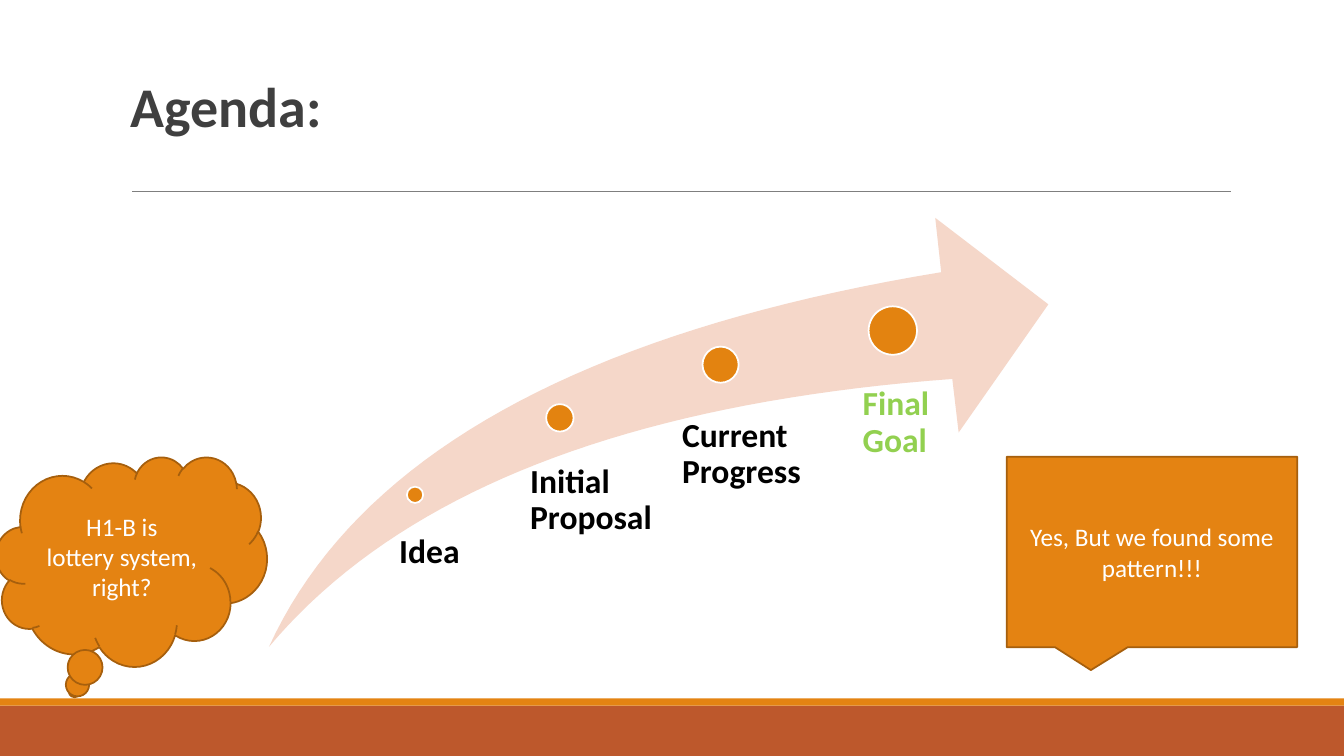
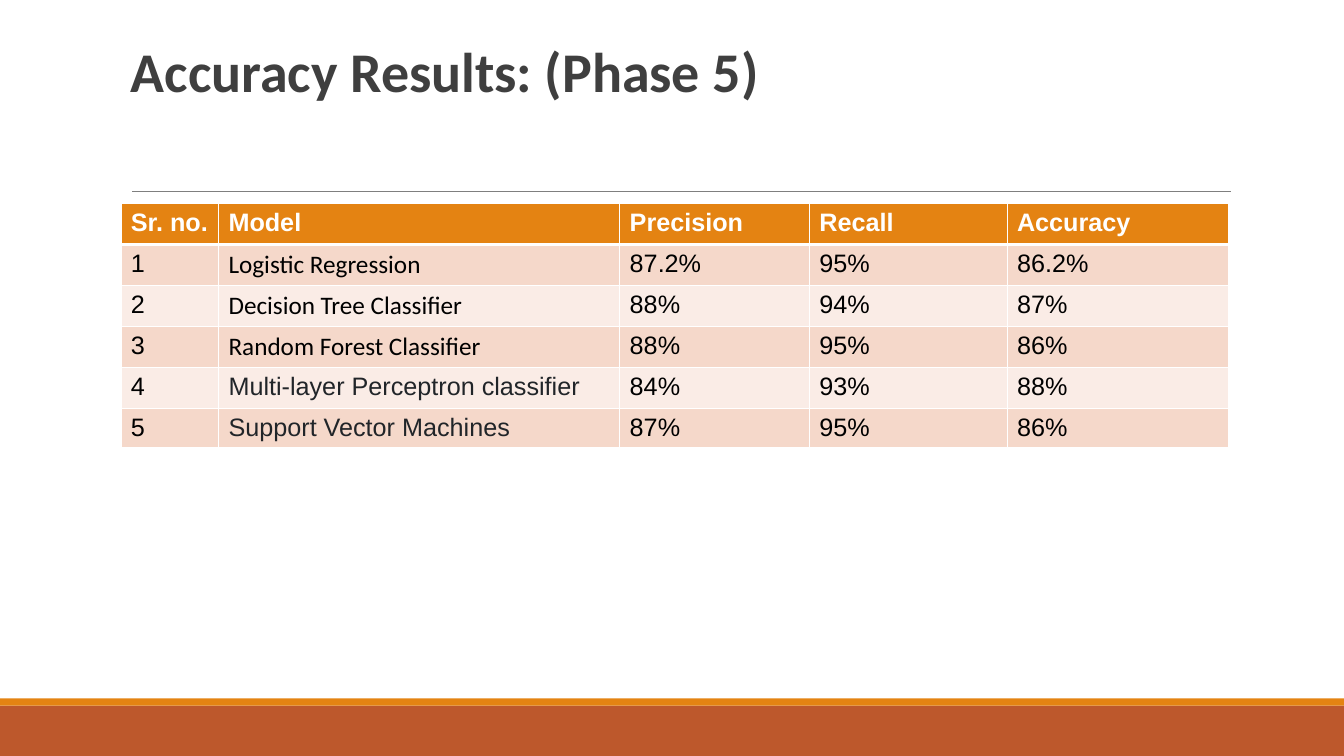
import pptx
import pptx.dml.color
import pptx.enum.shapes
import pptx.enum.text
import pptx.oxml
import pptx.oxml.ns
import pptx.oxml.xmlchemy
import pptx.util

Cm = pptx.util.Cm
Pt = pptx.util.Pt
Kind = pptx.enum.shapes.MSO_SHAPE
Side = pptx.enum.text.PP_ALIGN
Anchor = pptx.enum.text.MSO_ANCHOR

WIDE, HIGH = 33.87, 19.05
LEFT = 3.05
PAD = (0.25, 0.13, 0.25, 0.13)
HUES = {
    "rust": "BD582C", "gold": "E48312", "dot": "E38310", "edge": "A65F0D",
    "rule": "7F7F7F", "title": "3F3F3F", "black": "000000", "white": "FFFFFF",
    "green": "92D050", "arrow": "F5D7C9", "dark": "F5D8CA", "light": "FAECE6",
    "slate": "212529",
}

STEPS = [
    ("Idea", "black", (10.46, 12.47, 0.41), (9.86, 13.46, 2.95, 2.57), 0.2),
    ("Initial Proposal", "black", (14.11, 10.53, 0.69), (13, 11.71, 3.63, 4.24), 0.36),
    ("Current Progress", "black", (18.16, 9.19, 0.91), (16.71, 10.54, 3.63, 2.67), 0.48),
    ("Final Goal", "green", (22.5, 8.33, 1.22), (21.08, 9.75, 3.63, 2.34), 0.66),
]
HEAD = ["Sr. no.", "Model", "Precision", "Recall", "Accuracy"]
ROWS = [
    ("Logistic Regression", "Calibri", "black", "87.2%", "95%", "86.2%"),
    ("Decision Tree Classifier", "Calibri", "black", "88%", "94%", "87%"),
    ("Random Forest Classifier", "Calibri", "black", "88%", "95%", "86%"),
    ("Multi-layer Perceptron classifier", "Arial", "slate", "84%", "93%", "88%"),
    ("Support Vector Machines", "Arial", "slate", "87%", "95%", "86%"),
]
COLS = [2.46, 10.11, 4.78, 4.98, 5.59]


def hue(name):
    """Return the named colour."""
    return pptx.dml.color.RGBColor.from_string(HUES[name])


def write(frame, lines, size, tint, font="Calibri", bold=False, side=Side.LEFT,
          space=None):
    """Fill a text frame with one styled run per line."""
    for spot, text in enumerate(lines):
        para = frame.add_paragraph() if spot else frame.paragraphs[0]
        para.alignment = side
        para.line_spacing = space
        run = para.add_run()
        run.text = text
        run.font.size = Pt(size)
        run.font.name = font
        run.font.bold = bold
        run.font.color.rgb = hue(tint)


def inset(holder, pad=PAD, anchor=Anchor.TOP):
    """Set the margins and anchor of a text frame or cell."""
    (holder.margin_left, holder.margin_top,
     holder.margin_right, holder.margin_bottom) = map(Cm, pad)
    holder.vertical_anchor = anchor


def wrap(frame, pad=PAD, anchor=Anchor.TOP):
    """Make a frame of fixed size that wraps its text."""
    frame.word_wrap = True
    frame.auto_size = pptx.enum.text.MSO_AUTO_SIZE.NONE
    inset(frame, pad, anchor)


def paint(shape, fill, line=None, width=1.25):
    """Set fill and outline and drop the shadow."""
    shape.shadow.inherit = False
    shape.fill.solid()
    shape.fill.fore_color.rgb = hue(fill)
    if line:
        shape.line.color.rgb = hue(line)
        shape.line.width = Pt(width)
    else:
        shape.line.fill.background()


def draw(slide, kind, box, fill, line=None):
    """Add a painted preset shape."""
    shape = slide.shapes.add_shape(kind, *map(Cm, box))
    paint(shape, fill, line)
    return shape


def rule(slide, left, right, top):
    """Add a thin level line."""
    line = slide.shapes.add_connector(
        pptx.enum.shapes.MSO_CONNECTOR.STRAIGHT, Cm(left), Cm(top), Cm(right), Cm(top))
    line.line.color.rgb = hue("rule")
    line.line.width = Pt(0.75)
    line._element.spPr.append(pptx.oxml.xmlchemy.OxmlElement("a:effectLst"))


def start(deck, title, top, height):
    """Add a slide with the shared bands, rule and title style."""
    slide = deck.slides.add_slide(deck.slide_layouts[5])
    draw(slide, Kind.RECTANGLE, (0, 17.78, WIDE, 1.27), "rust")
    draw(slide, Kind.RECTANGLE, (0, 17.6, WIDE, 0.18), "gold")
    rule(slide, 3.33, 31.01, 4.83)
    head = slide.shapes.title
    head.left, head.top, head.width, head.height = map(Cm, (LEFT, top, 27.94, height))
    wrap(head.text_frame, anchor=Anchor.BOTTOM)
    write(head.text_frame, [title], 40, "title", bold=True, space=0.85)
    return slide


def curve(ends, count=40):
    """Return points along a cubic curve."""
    def blend(part, axis):
        """Weigh the four control points."""
        rest = 1 - part
        mix = (rest ** 3, 3 * rest ** 2 * part, 3 * rest * part ** 2, part ** 3)
        return sum(rate * end[axis] for rate, end in zip(mix, ends))
    return [(blend(step / count, 0), blend(step / count, 1)) for step in range(count + 1)]


def sweep(slide):
    """Add the bent arrow."""
    tail = (6.78, 16.3)
    upper = curve([tail, (8.97, 11.51), (14.61, 8.36), (23.72, 6.86)])
    tip = [(23.57, 5.49), (26.42, 7.67), (24.16, 10.9)]
    lower = curve([(24, 9.55), (15.8, 10.16), (10.06, 12.4), tail])
    spots = [(Cm(x), Cm(y)) for x, y in upper + tip + lower]
    pen = slide.shapes.build_freeform(*spots[0])
    pen.add_line_segments(spots[1:], close=True)
    paint(pen.convert_to_shape(), "arrow")


def step(slide, text, tint, dot, box, indent):
    """Add a dot on the arrow and its label."""
    x, y, size = dot
    draw(slide, Kind.OVAL, (x - size / 2, y - size / 2, size, size), "dot", "white")
    frame = slide.shapes.add_textbox(*map(Cm, box)).text_frame
    wrap(frame, (indent, 0, 0, 0))
    write(frame, [text], 24, tint, bold=True, space=0.9)


def bubble(slide, kind, box, bends, lines):
    """Add a speech or thought callout."""
    shape = draw(slide, kind, box, "gold", "edge")
    for spot, bend in enumerate(bends):
        shape.adjustments[spot] = bend
    wrap(shape.text_frame, anchor=Anchor.MIDDLE)
    write(shape.text_frame, lines, 18, "white", side=Side.CENTER)


def edge(cell, sides):
    """Draw white cell borders with the given widths."""
    props = cell._tc.get_or_add_tcPr()
    for side, width in sides.items():
        line = pptx.oxml.parse_xml(
            f'<a:ln{side} {pptx.oxml.ns.nsdecls("a")} w="{Pt(width)}"><a:solidFill>'
            f'<a:srgbClr val="{HUES["white"]}"/></a:solidFill></a:ln{side}>')
        props.append(line)


def fill(cell, text, back, sides, **style):
    """Style one table cell."""
    edge(cell, sides)
    cell.fill.solid()
    cell.fill.fore_color.rgb = hue(back)
    inset(cell)
    write(cell.text_frame, [text], 18, **style)


def grid(slide):
    """Add the table of scores."""
    highs = [1.03] * len(ROWS) + [0.84]
    table = slide.shapes.add_table(
        len(highs), len(COLS), Cm(LEFT), Cm(5.13), Cm(sum(COLS)), Cm(sum(highs))).table
    for col, width in zip(table.columns, COLS):
        col.width = Cm(width)
    for row, height in zip(table.rows, highs):
        row.height = Cm(height)
    for col, text in enumerate(HEAD):
        fill(table.cell(0, col), text, "gold", {"L": 1, "R": 1, "T": 1, "B": 3},
             tint="white", font="Arial", bold=True)
    for row, (model, font, tint, *scores) in enumerate(ROWS, 1):
        back = "dark" if row % 2 else "light"
        sides = {"L": 1, "R": 1, "T": 3 if row == 1 else 1, "B": 1}
        for col, text in enumerate([str(row), model, *scores]):
            style = (font, tint) if col == 1 else ("Arial", "black")
            fill(table.cell(row, col), text, back, sides, font=style[0], tint=style[1])


def main():
    """Build and save the deck."""
    deck = pptx.Presentation()
    deck.slide_width, deck.slide_height = Cm(WIDE), Cm(HIGH)
    plan = start(deck, "Agenda:", 0.74, 2.9)
    sweep(plan)
    for item in STEPS:
        step(plan, *item)
    bubble(plan, Kind.CLOUD_CALLOUT, (-0.1, 11.51, 6.83, 5.28), (-0.21, 0.62),
           ["H1-B is", "lottery system,", "right?"])
    bubble(plan, Kind.ROUNDED_RECTANGULAR_CALLOUT, (25.37, 11.51, 7.32, 4.8),
           (-0.21, 0.62, 0), ["Yes, But we found some pattern!!!"])
    grid(start(deck, "Accuracy Results: (Phase 5)", 0.79, 1.96))
    deck.save("out.pptx")


if __name__ == "__main__":
    main()
